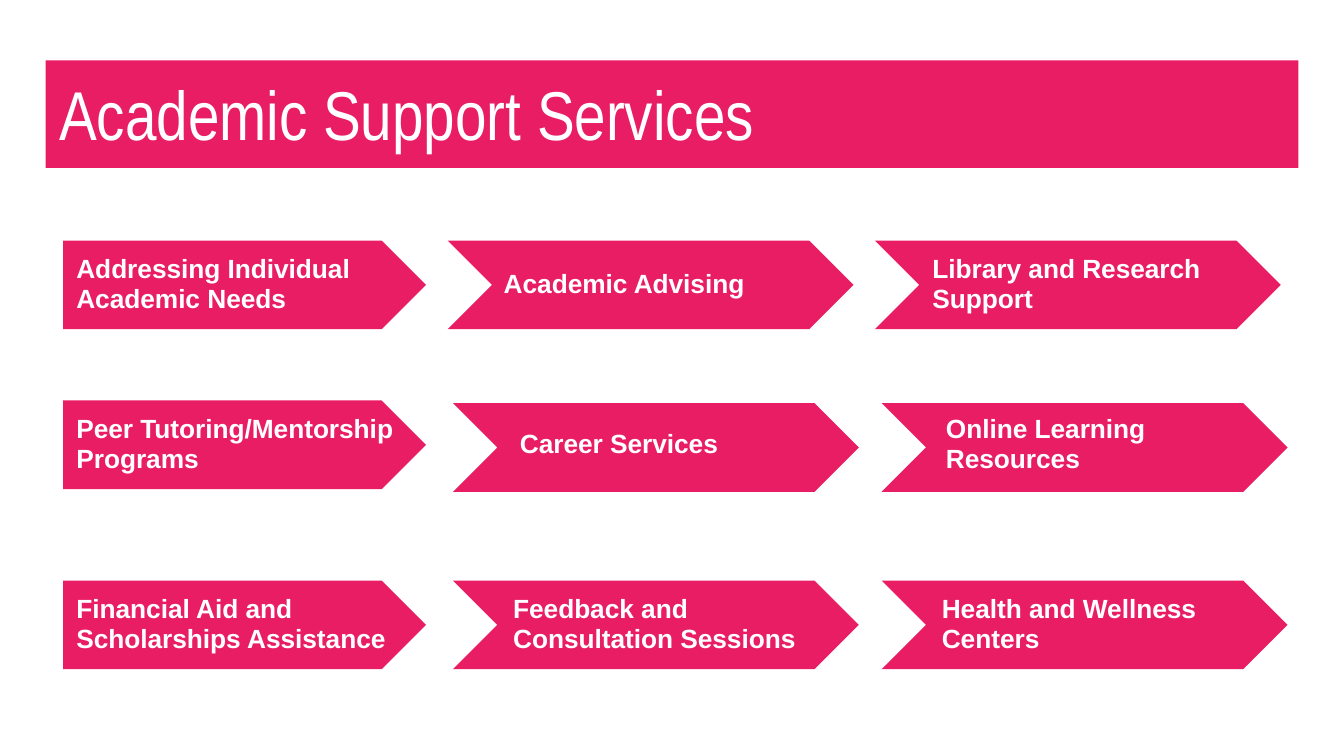
from pptx import Presentation, util as u
from pptx.dml.color import RGBColor
from pptx.enum import shapes, text

PINK = RGBColor(0xE9, 0x1D, 0x63)
WHITE = RGBColor(0xFF, 0xFF, 0xFF)

TITLE = "Academic Support Services"
# Each row: arrow tops, then (label, label left, label width) for each column
ROWS = [
    ((1.79, 1.79, 1.79), [("Addressing Individual Academic Needs", 0.47, 2.47),
                          ("Academic Advising", 3.65, 2.47),
                          ("Library and Research Support", 6.84, 2.47)]),
    ((2.98, 3.0, 3.0), [("Peer Tutoring/Mentorship Programs", 0.47, 2.58),
                        ("Career Services", 3.77, 2.47),
                        ("Online Learning Resources", 6.94, 2.47)]),
    ((4.32, 4.32, 4.32), [("Financial Aid and Scholarships Assistance", 0.47, 2.58),
                          ("Feedback and Consultation Sessions", 3.72, 2.47),
                          ("Health and Wellness Centers", 6.91, 2.47)]),
]
FIRST_ROW_LEFTS = (0.47, 3.33, 6.51)
LOWER_ROW_LEFTS = (0.47, 3.37, 6.56)
ARROW_HEIGHT = 0.66
LABEL_HEIGHT = 0.34
SLIDE_WIDTH = u.Inches(10)
SLIDE_HEIGHT = SLIDE_WIDTH * 9 // 16
INSET = u.Inches(0.1)

TITLE_FONT = {"name": "Arial Narrow", "size": u.Pt(37), "bold": False}
LABEL_FONT = {"name": "Arial", "size": u.Pt(14.1), "bold": True}


def write(shape, words, font_format, anchor, line_spacing):
    frame = shape.text_frame
    frame.text = words
    frame_format = {"word_wrap": True, "auto_size": text.MSO_AUTO_SIZE.NONE,
                    "vertical_anchor": anchor, "margin_left": INSET,
                    "margin_right": INSET, "margin_top": INSET, "margin_bottom": INSET}
    for name, value in frame_format.items():
        setattr(frame, name, value)
    paragraph = frame.paragraphs[0]
    paragraph.alignment = text.PP_ALIGN.LEFT
    paragraph.line_spacing = line_spacing
    font = paragraph.runs[0].font
    for name, value in font_format.items():
        setattr(font, name, value)
    font.color.rgb = WHITE


def add_arrow(slide, column, left, top):
    kind, width = ((shapes.MSO_SHAPE.PENTAGON, 2.7) if column == 0
                   else (shapes.MSO_SHAPE.CHEVRON, 3.02))
    arrow = slide.shapes.add_shape(kind, *map(u.Inches, (left, top, width, ARROW_HEIGHT)))
    arrow.shadow.inherit = False
    arrow.fill.solid()
    arrow.fill.fore_color.rgb = PINK
    arrow.line.fill.background()


def main():
    presentation = Presentation()
    presentation.slide_width, presentation.slide_height = SLIDE_WIDTH, SLIDE_HEIGHT
    slide = presentation.slides.add_slide(presentation.slide_layouts[5])

    title = slide.shapes.title
    title.left, title.top, title.width, title.height = map(u.Inches, (0.34, 0.45, 9.32, 0.8))
    title.fill.solid()
    title.fill.fore_color.rgb = PINK
    write(title, TITLE, TITLE_FONT, text.MSO_ANCHOR.BOTTOM, 1.15)

    for row, (tops, labels) in enumerate(ROWS):
        lefts = LOWER_ROW_LEFTS if row else FIRST_ROW_LEFTS
        label_top = tops[0] + (ARROW_HEIGHT - LABEL_HEIGHT) / 2
        for column, (words, label_left, label_width) in enumerate(labels):
            add_arrow(slide, column, lefts[column], tops[column])
            label = slide.shapes.add_textbox(
                *map(u.Inches, (label_left, label_top, label_width, LABEL_HEIGHT)))
            write(label, words, LABEL_FONT, text.MSO_ANCHOR.MIDDLE, 0.95)

    presentation.save("out.pptx")


if __name__ == "__main__":
    main()
